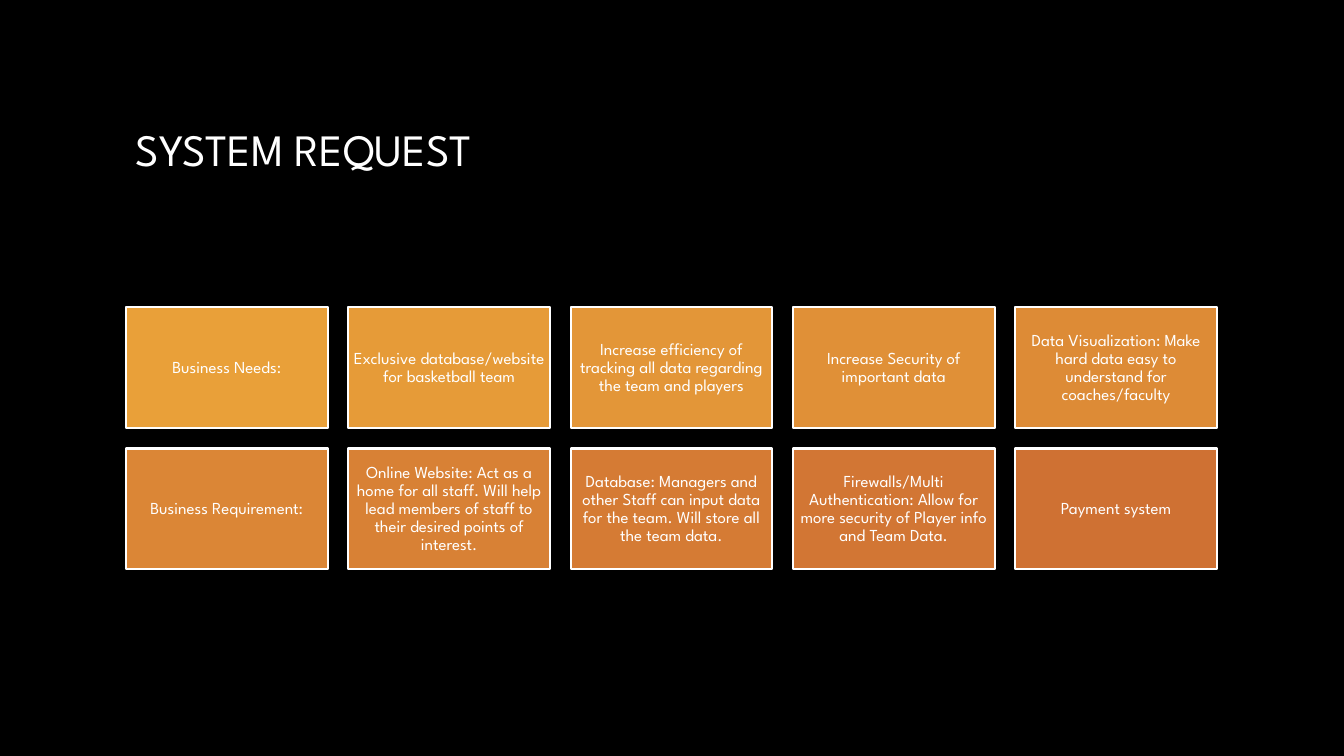
"""Build the system request slide: a title above two rows of orange boxes."""
from pptx import Presentation
from pptx.dml.color import RGBColor
from pptx.enum import shapes, text
from pptx.util import Inches, Pt

TITLE = "SYSTEM REQUEST"
ROWS = [
    [
        "Business Needs:",
        "Exclusive database/website for basketball team",
        "Increase efficiency of tracking all data regarding the team and players",
        "Increase Security of important data",
        "Data Visualization: Make hard data easy to understand for coaches/faculty",
    ],
    [
        "Business Requirement:",
        "Online Website: Act as a home for all staff. Will help lead members of staff "
        "to their desired points of interest.",
        "Database: Managers and other Staff can input data for the team. "
        "Will store all the team data.",
        "Firewalls/Multi Authentication: Allow for more security of Player info and Team Data.",
        "Payment system",
    ],
]
COLOURS = {"background": "000000", "text": "FFFFFF", "first": "E9A039", "last": "CF7133"}
FONT = "League Spartan"
LEFT, TOP = 1.25, 3.05
BOX_WIDTH, BOX_HEIGHT = 2, 1.2
COLUMN_STEP, ROW_STEP = 2.205, 1.4
INSET = 0.05


def colour(name):
    return RGBColor.from_string(COLOURS[name])


def shade(fraction):
    ends = zip(colour("first"), colour("last"))
    return RGBColor(*(round(start + (end - start) * fraction) for start, end in ends))


def write(shape, words, size):
    frame = shape.text_frame
    frame.word_wrap = True
    frame.vertical_anchor = text.MSO_ANCHOR.MIDDLE
    para = frame.paragraphs[0]
    para.text = words
    para.font.name = FONT
    para.font.size = Pt(size)
    para.font.color.rgb = colour("text")
    return frame, para


def add_title(page):
    box = page.shapes.add_textbox(Inches(LEFT), Inches(0.67), Inches(10.83), Inches(1.61))
    write(box, TITLE, 32)


def add_box(page, words, row, column):
    box = page.shapes.add_shape(
        shapes.MSO_SHAPE.RECTANGLE,
        Inches(LEFT + column * COLUMN_STEP),
        Inches(TOP + row * ROW_STEP),
        Inches(BOX_WIDTH),
        Inches(BOX_HEIGHT),
    )
    box.shadow.inherit = False
    position = row * len(ROWS[0]) + column
    box.fill.solid()
    box.fill.fore_color.rgb = shade(position / (len(ROWS) * len(ROWS[0]) - 1))
    box.line.color.rgb = colour("text")
    box.line.width = Pt(1.5)
    frame, para = write(box, words, 12)
    frame.margin_left = frame.margin_right = Inches(INSET)
    frame.margin_top = frame.margin_bottom = Inches(INSET)
    para.alignment = text.PP_ALIGN.CENTER
    para.line_spacing = 0.9


def main():
    deck = Presentation()
    deck.slide_width, deck.slide_height = Inches(13.33), Inches(7.5)
    page = deck.slides.add_slide(deck.slide_layouts[6])
    page.background.fill.solid()
    page.background.fill.fore_color.rgb = colour("background")
    add_title(page)
    for row, cells in enumerate(ROWS):
        for column, words in enumerate(cells):
            add_box(page, words, row, column)
    deck.save("out.pptx")


if __name__ == "__main__":
    main()
